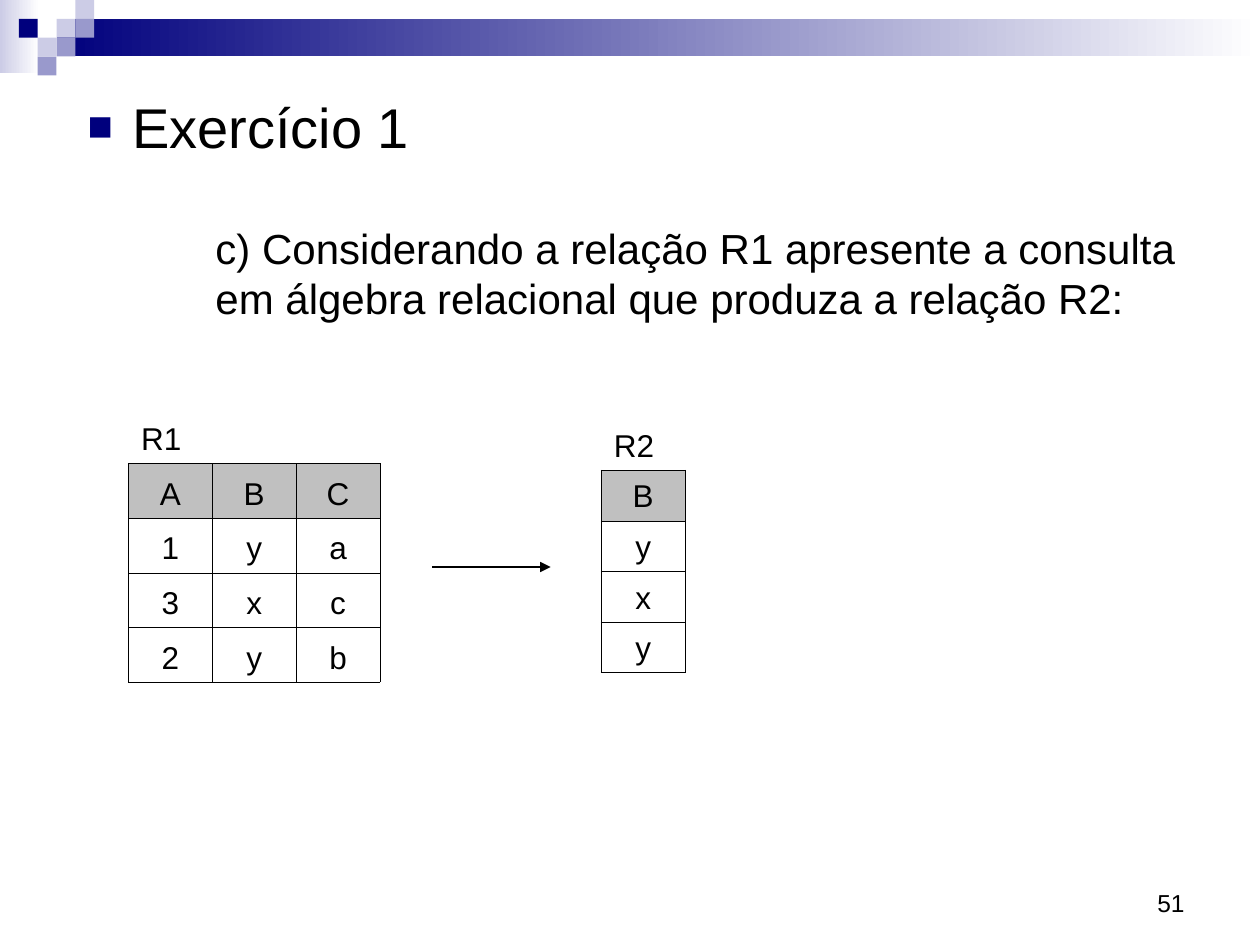
from lxml.etree import SubElement
from pptx import Presentation
from pptx.dml.color import RGBColor
from pptx.enum.shapes import MSO_CONNECTOR as Connector, MSO_SHAPE as Shape
from pptx.enum.text import MSO_ANCHOR as Anchor, MSO_AUTO_SIZE as AutoSize, PP_ALIGN as Align
from pptx.oxml import parse_xml
from pptx.oxml.ns import nsdecls, qn
from pptx.util import Cm, Pt

COLORS = {"navy": "00007D", "lilac": "9999CC", "pale": "CCCCE6",
          "white": "FFFFFF", "black": "000000", "gray": "C0C0C0"}


class SlideBuilder:
    """Holds the style and the current slide, and adds each kind of element."""

    font = "Arial"

    def __init__(self, page):
        self.page = page

    def color(self, name):
        return RGBColor.from_string(COLORS[name])

    def run(self, para, text, size):
        span = para.add_run()
        span.text = text
        span.font.name = self.font
        span.font.size = Pt(size)
        span.font.color.rgb = self.color("black")

    def rect(self, left, top, width, height, *names):
        box = self.page.shapes.add_shape(
            Shape.RECTANGLE, Cm(left), Cm(top), Cm(width), Cm(height))
        box.shadow.inherit = False
        box.line.fill.background()
        if len(names) == 1:
            box.fill.solid()
            box.fill.fore_color.rgb = self.color(names[0])
        else:
            box.fill.gradient()
            box.fill.gradient_angle = 0
            for stop, name in zip(box.fill.gradient_stops, names):
                stop.color.rgb = self.color(name)

    def body(self, left, top, width, height, heading, question):
        box = self.page.placeholders[1]
        box.left, box.top, box.width, box.height = map(Cm, (left, top, width, height))
        frame = box.text_frame
        frame.auto_size = AutoSize.NONE
        self.run(self.indent(frame.paragraphs[0], 1.14, -0.9, 8, True), heading, 32)
        self.run(self.indent(frame.add_paragraph(), 2.82, 0, 36, False), question, 24)

    def indent(self, para, margin, first, before, bulleted):
        para.space_before = Pt(before)
        props = para._p.get_or_add_pPr()
        props.set("marL", str(Cm(margin)))
        props.set("indent", str(Cm(first)))
        if bulleted:
            tint = SubElement(props, qn("a:buClr"))
            SubElement(tint, qn("a:srgbClr"), val=COLORS["navy"])
            SubElement(props, qn("a:buSzPct"), val="75000")
            SubElement(props, qn("a:buFont"), typeface=self.font)
            SubElement(props, qn("a:buChar"), char="■")
        else:
            SubElement(props, qn("a:buNone"))
        return para

    def text(self, left, top, width, height, text, size):
        box = self.page.shapes.add_textbox(Cm(left), Cm(top), Cm(width), Cm(height))
        frame = box.text_frame
        frame.word_wrap = True
        frame.vertical_anchor = Anchor.BOTTOM
        para = frame.paragraphs[0]
        para.alignment = Align.RIGHT
        self.run(para, text, size)

    def arrow(self, left, right, top):
        line = self.page.shapes.add_connector(
            Connector.STRAIGHT, Cm(left), Cm(top), Cm(right), Cm(top))
        line.line.color.rgb = self.color("black")
        line.line.width = Pt(0.75)
        SubElement(line.line._get_or_add_ln(), qn("a:tailEnd"), type="triangle")
        SubElement(line._element.spPr, qn("a:effectLst"))

    def borders(self, cell, visible):
        props = cell._tc.get_or_add_tcPr()
        for index, side in enumerate("LRTB"):
            paint = (f'<a:solidFill><a:srgbClr val="{COLORS["black"]}"/></a:solidFill>'
                     if side in visible else "<a:noFill/>")
            props.insert(index, parse_xml(
                f'<a:ln{side} {nsdecls("a")} w="{Pt(0.45)}">{paint}</a:ln{side}>'))

    def relation(self, left, top, name, row_height, rows):
        """Adds a table with its name in a borderless row above the header."""
        columns = len(rows[0])
        name_height, column_width = 1.02, 1.69
        table = self.page.shapes.add_table(
            len(rows) + 1, columns, Cm(left), Cm(top), Cm(columns * column_width),
            Cm(name_height + len(rows) * row_height)).table
        table.first_row = table.horz_banding = False
        for column in table.columns:
            column.width = Cm(column_width)
        name_row = name + " " * 0, *[""] * (columns - 1)
        for number, values in enumerate([name_row, *rows]):
            table.rows[number].height = Cm(row_height if number else name_height)
            for cell, value in zip(table.rows[number].cells, values):
                self.cell(cell, value, number)

    def cell(self, cell, value, number):
        cell.vertical_anchor = Anchor.BOTTOM
        if number == 1:
            cell.fill.solid()
            cell.fill.fore_color.rgb = self.color("gray")
        else:
            cell.fill.background()
        self.borders(cell, "LRTB" if number else "B")
        if value:
            para = cell.text_frame.paragraphs[0]
            para.alignment = Align.CENTER if number else Align.LEFT
            self.run(para, value, 18)


def main():
    deck = Presentation()
    deck.slide_width, deck.slide_height = Cm(25.4), Cm(19.05)
    page = deck.slides.add_slide(deck.slide_layouts[1])
    title = page.shapes.title._element
    title.getparent().remove(title)
    slide = SlideBuilder(page)

    unit = 0.38
    slide.rect(0, 0, 0.79, 1.47, "pale", "white")
    slide.rect(3 * unit, unit, 25.4 - 3 * unit, 2 * unit, "navy", "white")
    for column, row, name in [(3, 1, "pale"), (4, 0, "pale"), (4, 1, "lilac"),
                              (2, 2, "pale"), (1, 1, "navy"), (3, 2, "lilac"),
                              (2, 3, "lilac")]:
        slide.rect(column * unit, row * unit, unit, unit, name)

    slide.text(18.21, 17.35, 5.92, 1.27, "51", 14)
    slide.body(1.27, 1.73, 23.34, 5.41, "Exercício 1",
               "c) Considerando a relação R1 apresente a consulta em álgebra "
               "relacional que produza a relação R2:")
    slide.relation(2.59, 8.33, "R1", 1.1, ["ABC", "1ya", "3xc", "2yb"])
    slide.arrow(8.71, 11.1, 11.43)
    slide.relation(12.12, 8.46, "R2", 1.02, ["B", "y", "x", "y"])
    deck.save("out.pptx")


if __name__ == "__main__":
    main()
